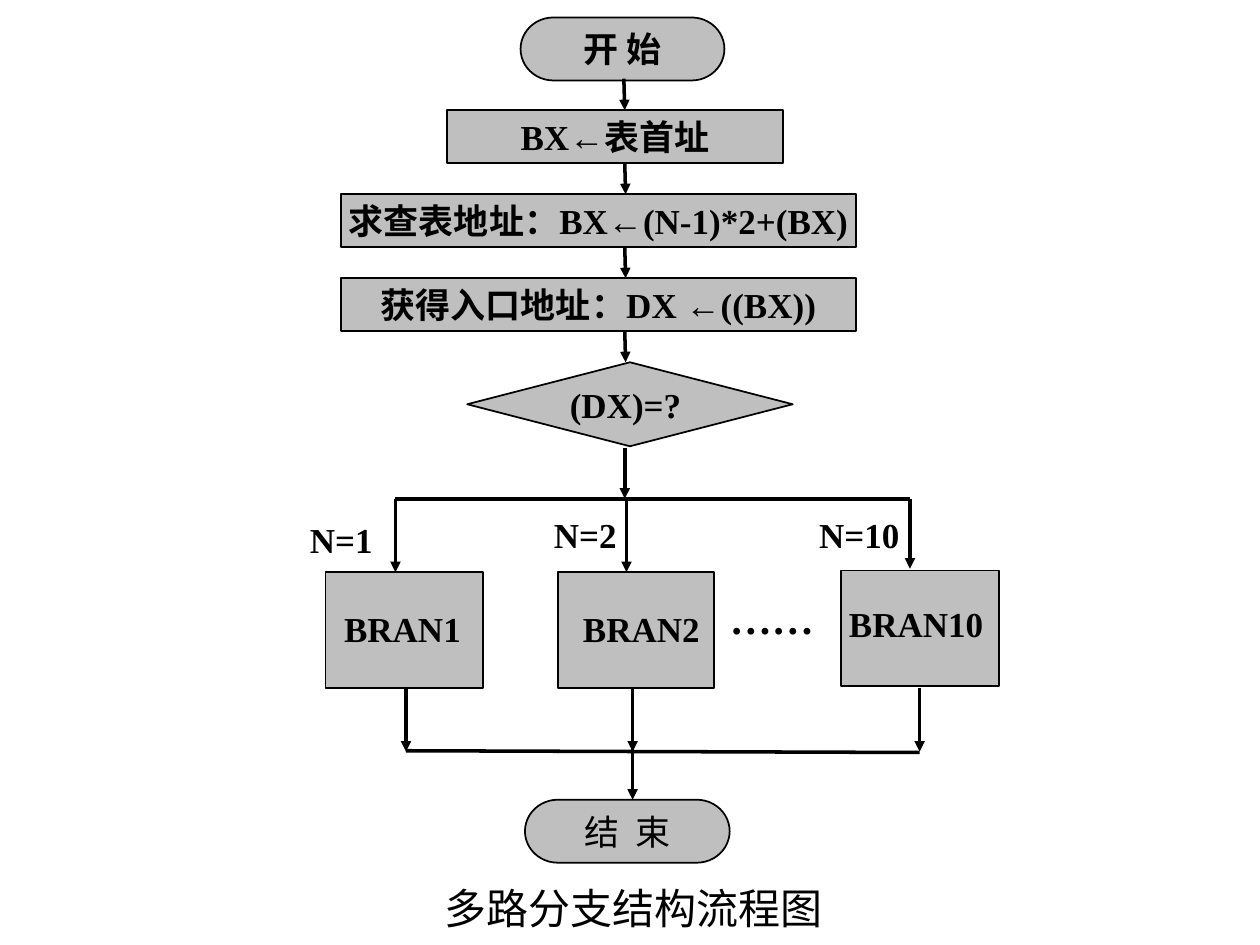
from lxml import etree
from pptx import Presentation
from pptx.dml.color import RGBColor
from pptx.enum.shapes import MSO_CONNECTOR, MSO_SHAPE
from pptx.enum.text import MSO_ANCHOR, PP_ALIGN
from pptx.oxml.ns import qn
from pptx.util import Pt

THEME = {
    "font": "Times New Roman",
    "ink": RGBColor(0, 0, 0),
    "fill": RGBColor(0xBF, 0xBF, 0xBF),
    "body": 20,
    "large": 24,
    "outline": 1,
    "flow": 2,
}

prs = Presentation()
prs.slide_width, prs.slide_height = Pt(720), Pt(540)
slide = prs.slides.add_slide(prs.slide_layouts[6])
shapes = slide.shapes


def write(shape, text, size=THEME["body"], bold=True):
    """Put one styled line of text in a shape and return its paragraph."""
    paragraph = shape.text_frame.paragraphs[0]
    run = paragraph.add_run()
    run.text = text
    run.font.name, run.font.size, run.font.bold = THEME["font"], Pt(size), bold
    run.font.color.rgb = THEME["ink"]
    return paragraph


def flow_line(x1, y1, x2, y2, arrow=True):
    """Draw a flow line, with an arrowhead at its end if wanted."""
    line = shapes.add_connector(MSO_CONNECTOR.STRAIGHT, Pt(x1), Pt(y1), Pt(x2), Pt(y2))
    line.line.color.rgb = THEME["ink"]
    line.line.width = Pt(THEME["flow"])
    if arrow:
        etree.SubElement(line.line._get_or_add_ln(), qn("a:tailEnd"), type="triangle")
    etree.SubElement(line._element.spPr, qn("a:effectLst"))


PROCESS = MSO_SHAPE.FLOWCHART_PROCESS
DECISION = MSO_SHAPE.FLOWCHART_DECISION
TERMINATOR = MSO_SHAPE.FLOWCHART_TERMINATOR
STEP_TOP, STEP_PITCH, STEP_HEIGHT = 63, 48, 30
DECISION_TOP = STEP_TOP + 3 * STEP_PITCH

# Kind, left, top, width, height, text, bold
nodes = [
    (TERMINATOR, 297.5, 10, 116.5, 36, "开 始", True),
    (DECISION, 267, DECISION_TOP, 186, 48, "(DX)=? ", True),
    (PROCESS, 186, 327, 90, 66, "", True),
    (PROCESS, 319, 327, 89, 66, "", True),
    (PROCESS, 480.5, 326, 90.5, 66, "", True),
    (TERMINATOR, 300, 457, 117, 36, "结  束", False),
]
steps = [
    (255.5, 192, "BX←表首址"),
    (195, 294, "求查表地址:BX←(N-1)*2+(BX)".replace(":", "：")),
    (195, 294, "获得入口地址：DX ←((BX))"),
]
for i, (left, width, text) in enumerate(steps):
    nodes.append((PROCESS, left, STEP_TOP + i * STEP_PITCH, width, STEP_HEIGHT, text, True))

for kind, left, top, width, height, text, bold in nodes:
    node = shapes.add_shape(kind, Pt(left), Pt(top), Pt(width), Pt(height))
    node.shadow.inherit = False
    node.fill.solid()
    node.fill.fore_color.rgb = THEME["fill"]
    node.line.color.rgb = THEME["ink"]
    node.line.width = Pt(THEME["outline"])
    if text:
        node.text_frame.word_wrap = False
        node.text_frame.vertical_anchor = MSO_ANCHOR.MIDDLE
        write(node, text, bold=bold).alignment = PP_ALIGN.CENTER

# Main flow down to the split
SPLIT, JOIN = 285, 429.5
flow_line(356.5, 45, 357, STEP_TOP)
for i in range(len(steps)):
    top = STEP_TOP + i * STEP_PITCH
    flow_line(357, top + STEP_HEIGHT, 357.5, top + STEP_PITCH)
flow_line(357, 256, 357, SPLIT)

# Split into branches and join again
flow_line(352, SPLIT, 520, SPLIT, arrow=False)
flow_line(357, SPLIT, 226, SPLIT, arrow=False)
for x, end in [(226, 327), (358, 327), (520, 325)]:
    flow_line(x, SPLIT, x, end)
flow_line(232, 429, 525.5, 430, arrow=False)
for x in (232, 361.5, 525.5):
    flow_line(x, 393, x, JOIN)
flow_line(361.5, 427, 361.5, 457)

# Left, top, width, height, text, size, bold
labels = [
    (170, 292.5, 72, 31, "N=1", THEME["body"], True),
    (309.5, 290, 66, 31, "N=2", THEME["body"], True),
    (461, 290, 75.5, 31, "N=10", THEME["body"], True),
    (189.5, 343.5, 84, 31, "BRAN1", THEME["body"], True),
    (326, 343.5, 90, 31, "BRAN2", THEME["body"], True),
    (478, 340.5, 96, 31, "BRAN10", THEME["body"], True),
    (410, 335, 78, 36, "……", THEME["large"], True),
    (247, 500.5, 252, 36, "多路分支结构流程图", THEME["large"], False),
]
for left, top, width, height, text, size, bold in labels:
    label = shapes.add_textbox(Pt(left), Pt(top), Pt(width), Pt(height))
    label.text_frame.word_wrap = True
    write(label, text, size, bold)

prs.save("out.pptx")
